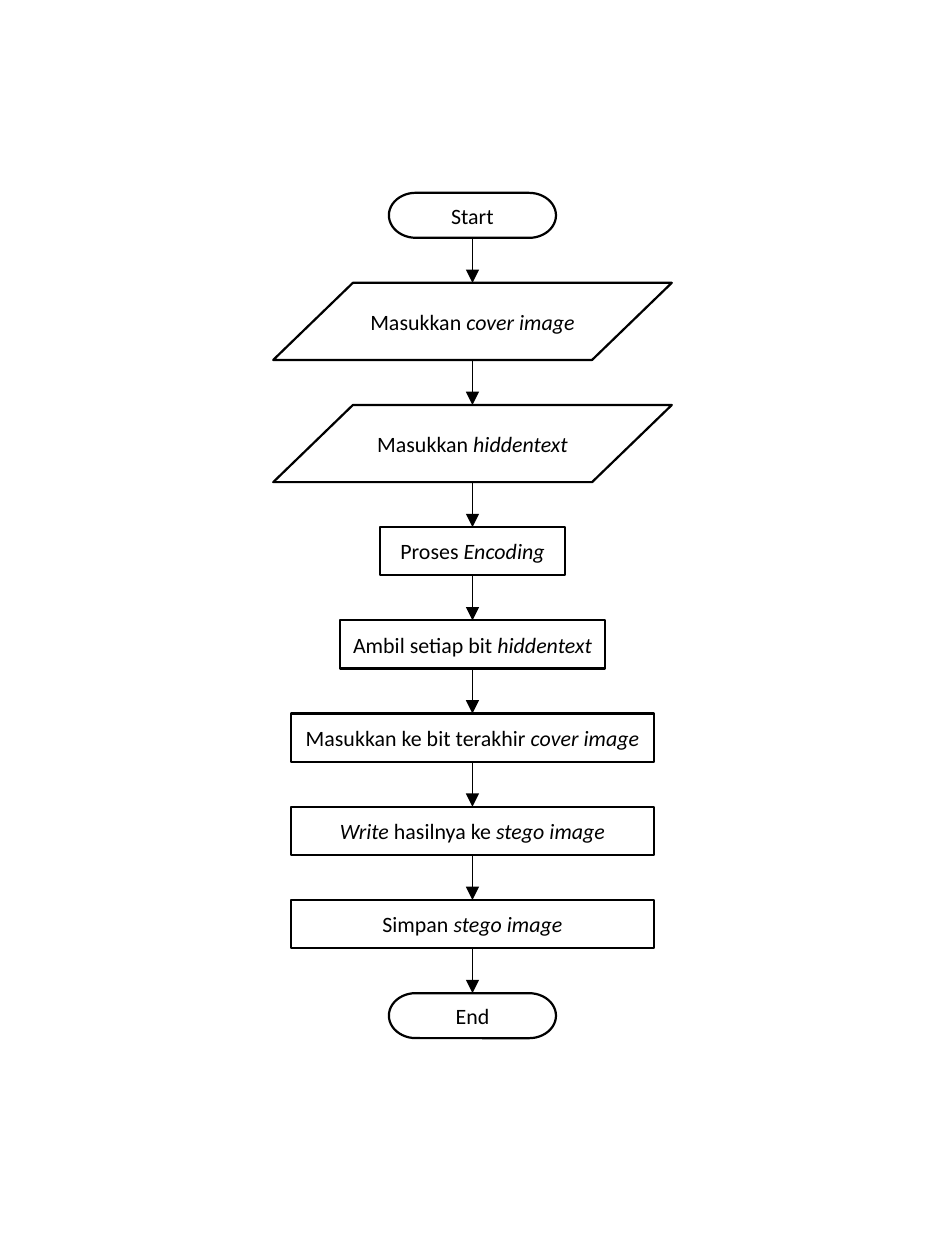
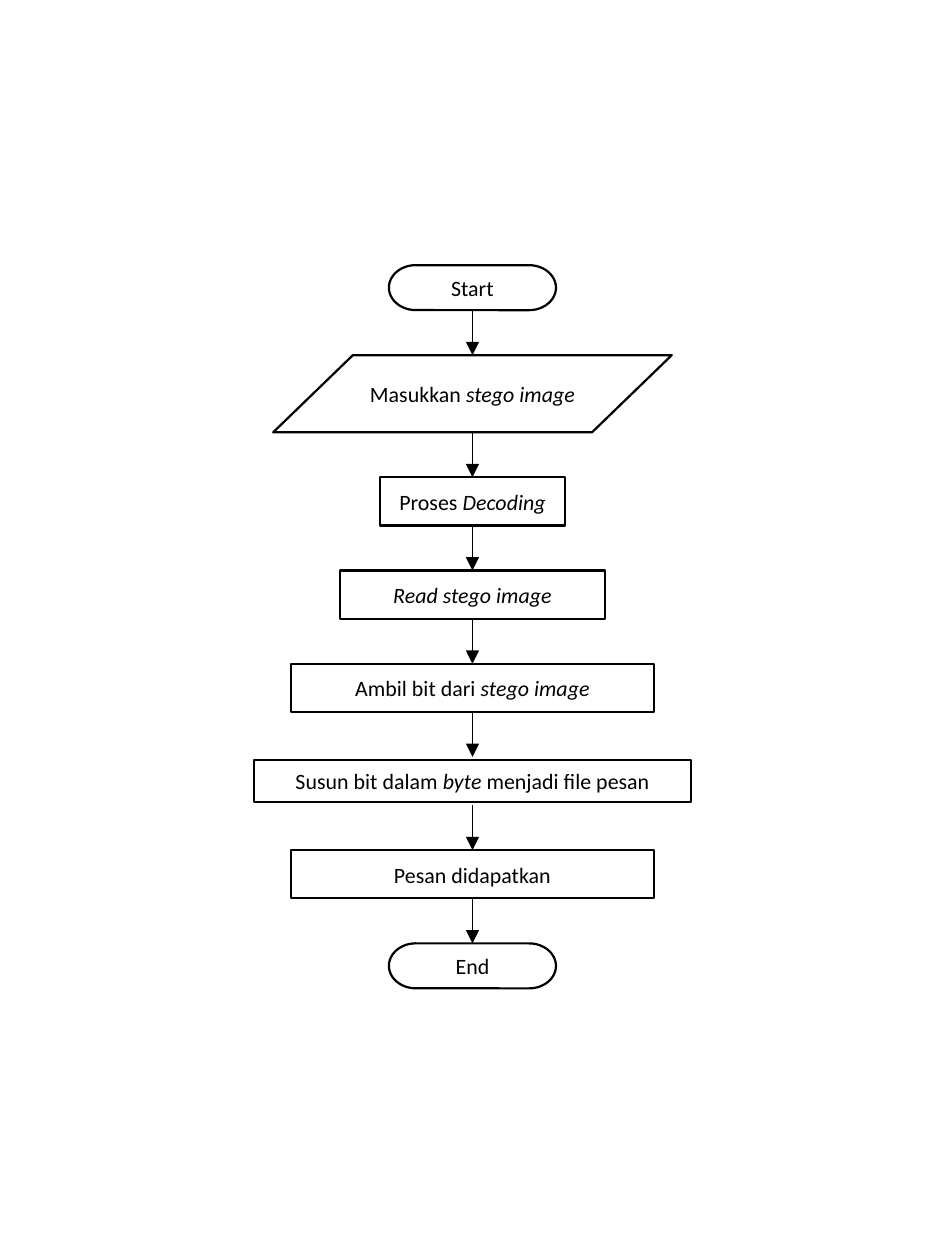
from dataclasses import dataclass

from lxml import etree
from pptx import Presentation
from pptx.dml.color import RGBColor
from pptx.enum.shapes import MSO_CONNECTOR, MSO_SHAPE
from pptx.enum.text import MSO_ANCHOR, PP_ALIGN
from pptx.oxml.ns import qn
from pptx.shapes.autoshape import Shape
from pptx.slide import Slide
from pptx.util import Inches, Pt

TERM = MSO_SHAPE.FLOWCHART_TERMINATOR
DATA = MSO_SHAPE.FLOWCHART_DATA
PROC = MSO_SHAPE.FLOWCHART_PROCESS
STRAIGHT = MSO_CONNECTOR.STRAIGHT
MIDDLE = MSO_ANCHOR.MIDDLE
CENTER = PP_ALIGN.CENTER

COLORS = {"paper": "FFFFFF", "ink": "000000"}
FONT = "Calibri"

# The grid has 100 cells to the inch.
CELL = Inches(0.01)
COLS, ROWS = 588, 784
MID = COLS // 2
GAP = 28
SLOTS = {TERM: 28, DATA: 48, PROC: 30}


@dataclass(frozen=True)
class Step:
    """A box; text between asterisks is italic, trim narrows it in its slot."""
    text: str
    cols: int
    kind: MSO_SHAPE = PROC
    trim: int = 0


@dataclass(frozen=True)
class Flow:
    top: int
    steps: tuple[Step, ...]


START = Step("Start", 104, TERM)
END = Step("End", 104, TERM)

FLOWS = (
    Flow(120, (
        START,
        Step("Masukkan *cover image*", 248, DATA),
        Step("Masukkan *hiddentext*", 248, DATA),
        Step("Proses *Encoding*", 115),
        Step("Ambil setiap bit *hiddentext*", 165),
        Step("Masukkan ke bit terakhir *cover image*", 226),
        Step("*Write *hasilnya ke *stego image*", 226),
        Step("Simpan *stego image*", 226),
        END,
    )),
    Flow(165, (
        START,
        Step("Masukkan *stego image*", 248, DATA),
        Step("Proses *Decoding*", 115),
        Step("*Read stego image*", 165),
        Step("Ambil bit dari *stego image*", 226),
        Step("Susun bit dalam *byte *menjadi file pesan", 272, trim=2),
        Step("Pesan didapatkan", 226),
        END,
    )),
)


def cells(count: float) -> int:
    return int(count * CELL)


def color(name: str) -> RGBColor:
    return RGBColor.from_string(COLORS[name])


def write(shape: Shape, text: str, *, size: float = 9.8, ink: str = "ink") -> None:
    """Fill a shape with centred text, italic between asterisks."""
    frame = shape.text_frame
    frame.word_wrap = True
    frame.vertical_anchor = MIDDLE
    frame.margin_left = frame.margin_right = cells(8)
    frame.margin_top = frame.margin_bottom = cells(4)
    para = frame.paragraphs[0]
    para.alignment = CENTER
    for order, part in enumerate(text.split("*")):
        if part:
            run = para.add_run()
            run.text = part
            run.font.name = FONT
            run.font.size = Pt(size)
            run.font.italic = order % 2 == 1
            run.font.color.rgb = color(ink)


def draw_box(slide: Slide, step: Step, top: int) -> None:
    shape = slide.shapes.add_shape(
        step.kind,
        cells(MID - step.cols / 2),
        cells(top + step.trim),
        cells(step.cols),
        cells(SLOTS[step.kind] - 2 * step.trim),
    )
    shape.shadow.inherit = False
    shape.fill.solid()
    shape.fill.fore_color.rgb = color("paper")
    shape.line.color.rgb = color("ink")
    shape.line.width = Pt(1)
    write(shape, step.text)


def draw_arrow(slide: Slide, top: int) -> None:
    """Draw an arrow down through the gap that starts at top."""
    link = slide.shapes.add_connector(
        STRAIGHT, cells(MID), cells(top), cells(MID), cells(top + GAP))
    link.line.color.rgb = color("ink")
    link.line.width = Pt(0.5)
    props = link.element.spPr
    etree.SubElement(props.find(qn("a:ln")), qn("a:tailEnd"), type="triangle")
    etree.SubElement(props, qn("a:effectLst"))


def draw_flow(slide: Slide, flow: Flow) -> None:
    top = flow.top
    for order, step in enumerate(flow.steps):
        if order:
            draw_arrow(slide, top)
            top += GAP
        draw_box(slide, step, top)
        top += SLOTS[step.kind]


def main() -> None:
    deck = Presentation()
    deck.slide_width, deck.slide_height = cells(COLS), cells(ROWS)
    blank = deck.slide_layouts[6]
    for flow in FLOWS:
        draw_flow(deck.slides.add_slide(blank), flow)
    deck.save("out.pptx")


if __name__ == "__main__":
    main()
